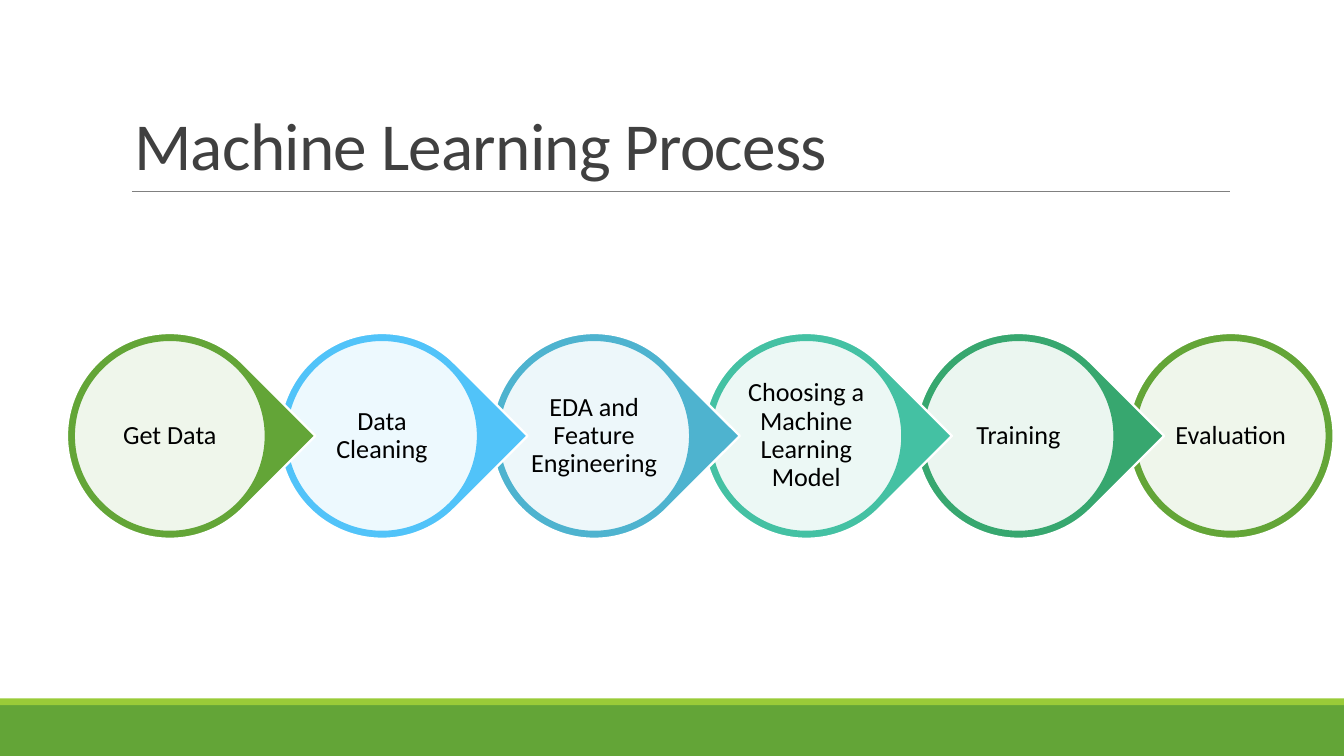
from lxml.etree import SubElement
from pptx import Presentation
from pptx.dml.color import RGBColor
from pptx.enum.shapes import MSO_CONNECTOR, MSO_SHAPE
from pptx.enum.text import MSO_ANCHOR, PP_ALIGN
from pptx.oxml.ns import qn
from pptx.util import Cm, Pt

SLIDE_WIDTH, SLIDE_HEIGHT = 25.4, 14.29
STEPS = [
    ("Get Data", "63A537"),
    ("Data Cleaning", "51C3F9"),
    ("EDA and Feature Engineering", "4EB3CF"),
    ("Choosing a Machine Learning Model", "44C1A3"),
    ("Training", "37A76F"),
    ("Evaluation", "63A537"),
]
FIRST_CENTER, STEP_PITCH, ROW_CENTER = 3.21, 4.01, 8.24
MARKER_SIZE, DISC_SIZE, LABEL_SIZE = 3.89, 3.63, 2.59


def color(hex_code):
    return RGBColor.from_string(hex_code)


def centered(x, y, size):
    return x - size / 2, y - size / 2, size, size


class ProcessSlide:
    font = "Calibri"

    def __init__(self, slide):
        self.slide = slide

    def shape(self, kind, box, fill, outline=None, opacity=None, rotation=0):
        shape = self.slide.shapes.add_shape(kind, *map(Cm, box))
        shape.shadow.inherit = False
        shape.rotation = rotation
        shape.fill.solid()
        shape.fill.fore_color.rgb = color(fill)
        if opacity is not None:
            tint = shape.fill._xPr.find(qn("a:solidFill"))[0]
            SubElement(tint, qn("a:alpha"), val=str(opacity * 1000))
        if outline:
            shape.line.color.rgb = color(outline)
            shape.line.width = Pt(1.25)
        else:
            shape.line.fill.background()

    def rule(self, left, right, y, stroke):
        rule = self.slide.shapes.add_connector(
            MSO_CONNECTOR.STRAIGHT, Cm(left), Cm(y), Cm(right), Cm(y))
        rule.line.color.rgb = color(stroke)
        rule.line.width = Pt(0.5)
        SubElement(rule._element.spPr, qn("a:effectLst"))

    def text(self, words, box, size, ink, anchor, align, line_spacing,
             inset, tracking=0):
        frame = self.slide.shapes.add_textbox(*map(Cm, box)).text_frame
        frame.word_wrap = True
        frame.vertical_anchor = anchor
        frame.margin_left = frame.margin_right = Cm(inset[0])
        frame.margin_top = frame.margin_bottom = Cm(inset[1])
        paragraph = frame.paragraphs[0]
        run = paragraph.add_run()
        run.text = words
        paragraph.alignment = align
        paragraph.line_spacing = line_spacing
        paragraph.font.name = self.font
        paragraph.font.size = Pt(size)
        paragraph.font.color.rgb = color(ink)
        if tracking:
            run.font._element.set("spc", str(round(tracking * 100)))

    def step(self, label, hue, x, is_last):
        marker = MSO_SHAPE.OVAL if is_last else MSO_SHAPE.TEAR
        self.shape(marker, centered(x, ROW_CENTER, MARKER_SIZE), hue,
                   "FFFFFF", rotation=0 if is_last else 45)
        self.shape(MSO_SHAPE.OVAL, centered(x, ROW_CENTER, DISC_SIZE),
                   "FFFFFF", hue, opacity=90)
        self.text(label, centered(x, ROW_CENTER, LABEL_SIZE), 14, "000000",
                  MSO_ANCHOR.MIDDLE, PP_ALIGN.CENTER, 0.9, (0.05, 0.05))


def main():
    presentation = Presentation()
    presentation.slide_width = Cm(SLIDE_WIDTH)
    presentation.slide_height = Cm(SLIDE_HEIGHT)
    process = ProcessSlide(
        presentation.slides.add_slide(presentation.slide_layouts[6]))

    process.shape(MSO_SHAPE.RECTANGLE, (0, 13.33, SLIDE_WIDTH, 0.96), "63A537")
    process.shape(MSO_SHAPE.RECTANGLE, (0, 13.2, SLIDE_WIDTH, 0.13), "99CB38")
    process.rule(2.49, 23.24, 3.62, "808080")
    process.text("Machine Learning Process", (2.29, 0.6, 20.95, 3.02), 36,
                 "404040", MSO_ANCHOR.BOTTOM, PP_ALIGN.LEFT, 0.85,
                 (0.25, 0.13), tracking=-0.4)

    last = len(STEPS) - 1
    for index, (label, hue) in reversed(list(enumerate(STEPS))):
        process.step(label, hue, FIRST_CENTER + index * STEP_PITCH,
                     index == last)

    presentation.save("out.pptx")


if __name__ == "__main__":
    main()
